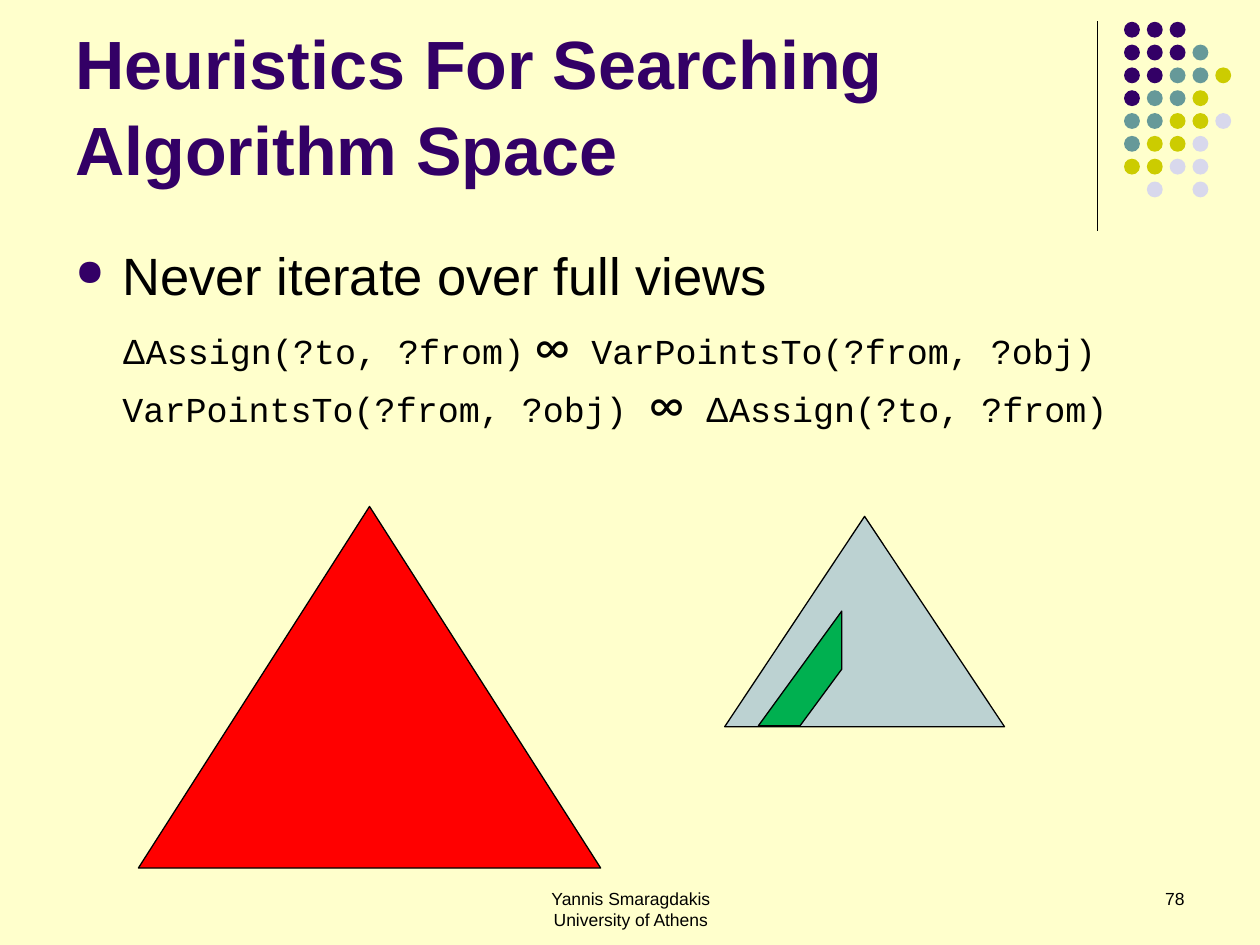
from typing import NamedTuple

from lxml import etree
from pptx import Presentation
from pptx import util as u
from pptx.dml.color import RGBColor
from pptx.enum import shapes, text
from pptx.oxml.ns import qn

HUES = {
    "paper": "FFFFCC", "ink": "000000", "plum": "330066", "teal": "669999",
    "lime": "CCCC00", "mist": "D8D8EC", "red": "FF0000", "haze": "BCD2D2",
    "green": "00B050",
}
DOTS = ("PPP", "PPPT", "PPTTY", "PTTY", "TTYYL", "TYYL", "YYLL", " L L")
DOT_HUES = {"P": "plum", "T": "teal", "Y": "lime", "L": "mist"}
STEP, DOT = 0.46, 0.32
SANS, MONO, SIGN = "Arial", "Courier New", "Lato"


class Area(NamedTuple):
    x: float
    y: float
    w: float
    h: float

    def cm(self) -> list:
        return [u.Cm(side) for side in self]


class Tree(NamedTuple):
    area: Area
    hue: str


class Label(NamedTuple):
    area: Area
    lines: tuple
    align: text.PP_ALIGN


class Piece(NamedTuple):
    words: str
    face: str
    size: int = 20


TREES = (
    Tree(Area(2.79, 10.21, 9.32, 7.29), "red"),
    Tree(Area(14.61, 10.41, 5.64, 4.24), "haze"),
)
SLICE = ((16.97, 13.49), (16.13, 14.63), (15.29, 14.63), (16.97, 12.32))
LABELS = (
    Label(Area(18.21, 17.78, 5.92, 1.27), ("78",), text.PP_ALIGN.RIGHT),
    Label(Area(8.69, 17.78, 8.05, 1.27),
          ("Yannis Smaragdakis", "University of Athens"), text.PP_ALIGN.CENTER),
)
JOIN = Piece("∞", SIGN, 28)
DELTA = Piece("Δ", SANS)
ASSIGN = Piece("Assign(?to, ?from)", MONO)
POINTS = Piece("VarPointsTo(?from, ?obj)", MONO)
GAP = Piece(" ", MONO)
JOINS = (
    (DELTA, ASSIGN, Piece(" ", SANS), JOIN, GAP, POINTS),
    (POINTS, GAP, JOIN, GAP, DELTA, ASSIGN),
)


def rgb(hue: str) -> RGBColor:
    return RGBColor.from_string(HUES[hue])


def paint(shape, hue: str, edge: bool = True) -> None:
    shape.shadow.inherit = False
    shape.fill.solid()
    shape.fill.fore_color.rgb = rgb(hue)
    if edge:
        shape.line.color.rgb = rgb("ink")
        shape.line.width = u.Pt(0.75)
    else:
        shape.line.fill.background()


def style(font, size: int, face: str = SANS, hue: str = "ink") -> None:
    font.size, font.name = u.Pt(size), face
    font.color.rgb = rgb(hue)


def add_box(slide, area: Area):
    frame = slide.shapes.add_textbox(*area.cm()).text_frame
    frame.word_wrap = True
    return frame


def add_rule(slide) -> None:
    x = u.Cm(22.12)
    rule = slide.shapes.add_connector(
        shapes.MSO_CONNECTOR.STRAIGHT, x, u.Cm(0.43), x, u.Cm(4.65))
    rule.line.color.rgb = rgb("ink")
    rule.line.width = u.Pt(0.75)
    etree.SubElement(rule._element.spPr, qn("a:effectLst"))


def add_dots(slide) -> None:
    group = slide.shapes.add_group_shape()
    for row, marks in enumerate(DOTS):
        for col, mark in enumerate(marks):
            if mark in DOT_HUES:
                area = Area(22.66 + col * STEP, 0.44 + row * STEP, DOT, DOT)
                dot = group.shapes.add_shape(shapes.MSO_SHAPE.OVAL, *area.cm())
                paint(dot, DOT_HUES[mark], edge=False)


def add_title(slide) -> None:
    frame = add_box(slide, Area(1.27, 0.33, 20.96, 3.61))
    frame.vertical_anchor = text.MSO_ANCHOR.BOTTOM
    para = frame.paragraphs[0]
    para.text = "Heuristics For Searching Algorithm Space"
    para.line_spacing = 1.05
    style(para.font, 39, hue="plum")
    para.font.bold = True


def indent(para, first: float) -> etree._Element:
    props = para._p.get_or_add_pPr()
    props.set("marL", str(u.Cm(0.95)))
    props.set("indent", str(u.Cm(first)))
    return props


def add_body(slide) -> None:
    frame = add_box(slide, Area(1.27, 4.78, 22.86, 12.24))
    point = frame.paragraphs[0]
    point.text = "Never iterate over full views"
    props = indent(point, -0.95)
    tint = etree.SubElement(props, qn("a:buClr"))
    etree.SubElement(tint, qn("a:srgbClr"), val=HUES["plum"])
    etree.SubElement(props, qn("a:buSzPct"), val="70000")
    etree.SubElement(props, qn("a:buChar"), char="●")
    style(point.font, 30)

    rules = frame.add_paragraph()
    indent(rules, 0)
    rules.space_before = u.Pt(5)
    for row, pieces in enumerate(JOINS):
        if row:
            rules.add_line_break()
        for piece in pieces:
            run = rules.add_run()
            run.text = piece.words
            style(run.font, piece.size, piece.face)


def add_tree(slide, tree: Tree) -> None:
    shape = slide.shapes.add_shape(
        shapes.MSO_SHAPE.ISOSCELES_TRIANGLE, *tree.area.cm())
    paint(shape, tree.hue)


def add_slice(slide) -> None:
    start, *rest = [(u.Cm(x), u.Cm(y)) for x, y in SLICE]
    path = slide.shapes.build_freeform(*start)
    path.add_line_segments(rest, close=True)
    paint(path.convert_to_shape(), "green")


def add_label(slide, label: Label) -> None:
    frame = add_box(slide, label.area)
    frame.text = "\n".join(label.lines)
    for para in frame.paragraphs:
        para.alignment = label.align
        style(para.font, 10)


def main() -> None:
    deck = Presentation()
    deck.slide_width, deck.slide_height = u.Cm(25.4), u.Cm(19.05)
    slide = deck.slides.add_slide(deck.slide_layouts[6])
    slide.background.fill.solid()
    slide.background.fill.fore_color.rgb = rgb("paper")
    add_rule(slide)
    add_dots(slide)
    add_title(slide)
    add_body(slide)
    for tree in TREES:
        add_tree(slide, tree)
    add_slice(slide)
    for label in LABELS:
        add_label(slide, label)
    deck.save("out.pptx")


if __name__ == "__main__":
    main()
